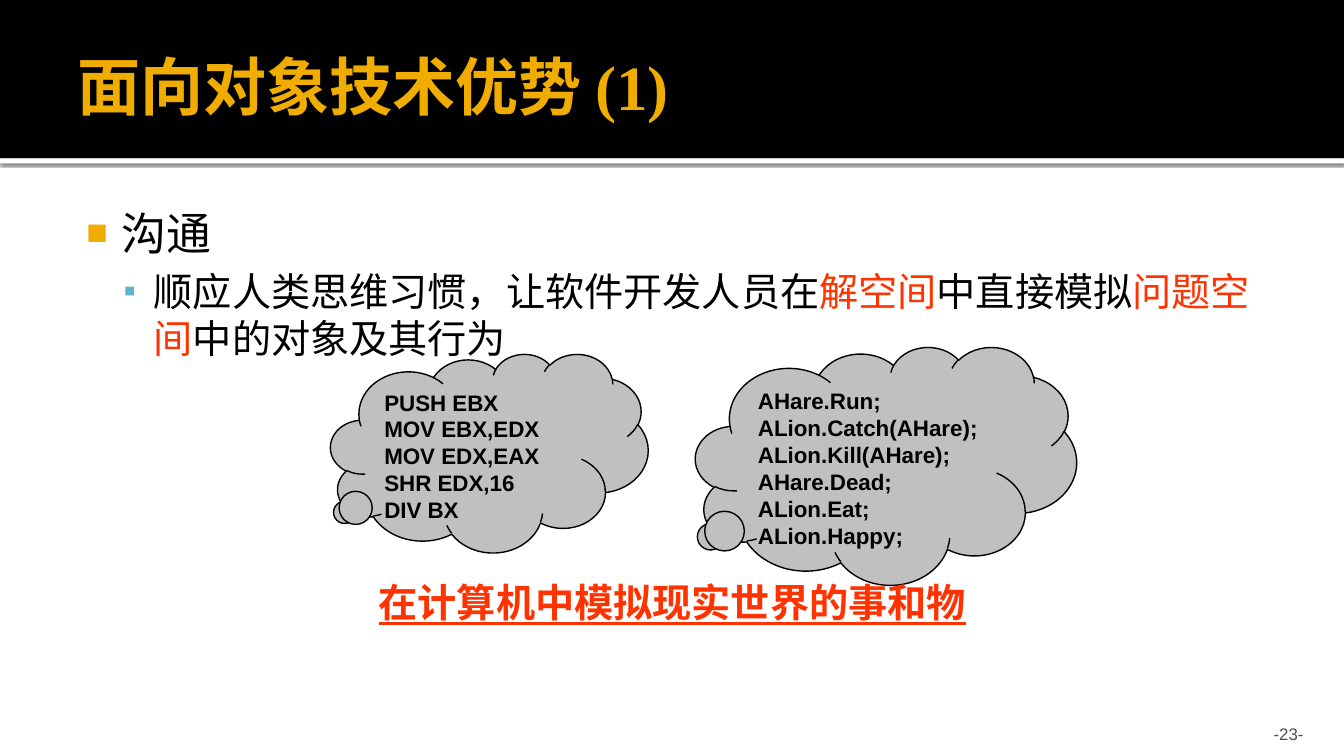
from lxml.etree import SubElement
from pptx import Presentation
from pptx.dml.color import RGBColor
from pptx.enum.lang import MSO_LANGUAGE_ID
from pptx.enum.shapes import MSO_SHAPE
from pptx.enum.text import MSO_ANCHOR, PP_ALIGN
from pptx.oxml.ns import qn
from pptx.util import Emu, Inches, Pt

BLACK = RGBColor(0x00, 0x00, 0x00)
WHITE = RGBColor(0xFF, 0xFF, 0xFF)
GOLD = RGBColor(0xF0, 0xAD, 0x00)
BLUE = RGBColor(0x60, 0xB5, 0xCC)
RED = RGBColor(0xFF, 0x33, 0x00)
GREY = RGBColor(0x4D, 0x4D, 0x4D)
CLOUD_GREY = RGBColor(0xC0, 0xC0, 0xC0)

SERIF = "Times New Roman"
SANS = "Arial"

deck = Presentation()
deck.slide_width, deck.slide_height = Inches(13.333), Inches(7.5)
slide = deck.slides.add_slide(deck.slide_layouts[6])
CELL = deck.slide_width / 80  # 80 columns by 45 rows of square cells


def grid(*cells):
    """Turn left, top, width and height in grid cells into lengths."""
    return [Emu(round(cell * CELL)) for cell in cells]


def add_span(para, text, **formats):
    """Append text to a paragraph; a color format sets the text colour."""
    span = para.add_run()
    span.text = text
    span.font.color.rgb = formats.pop("color", BLACK)
    span.font.language_id = MSO_LANGUAGE_ID.SIMPLIFIED_CHINESE
    for name, value in formats.items():
        setattr(span.font, name, value)


# Header band with a shadowed white stripe under it
for cells, color in (((0, 9.42, 80, 0.3), WHITE), ((0, 0, 80, 9.42), BLACK)):
    band = slide.shapes.add_shape(MSO_SHAPE.RECTANGLE, *grid(*cells))
    band.shadow.inherit = False
    band.fill.solid()
    band.fill.fore_color.rgb = color
    band.line.fill.background()
    if color == WHITE:
        effects = band._element.spPr.find(qn("a:effectLst"))
        shadow = SubElement(effects, qn("a:outerShdw"), blurRad=str(Pt(2.5)),
                            dist=str(Pt(0.8)), dir="5400000", rotWithShape="0")
        shade = SubElement(shadow, qn("a:srgbClr"), val=str(BLACK))
        SubElement(shade, qn("a:alpha"), val="60000")

# Topic and explanation
body = slide.shapes.add_textbox(*grid(4, 11.64, 72, 30.36))
frame = body.text_frame
frame.word_wrap = True
frame.margin_left, frame.margin_top = Inches(0.06), Inches(0.1)
points = [
    (0, 0.48, -0.35, "■", GOLD, 80, 32, 0, [("沟通", BLACK)]),
    (1, 0.8, -0.3, "▪", BLUE, 90, 28, 5.6, [
        ("顺应人类思维习惯，让软件开发人员在", BLACK),
        ("解空间", RED),
        ("中直接模拟", BLACK),
        ("问题空间", RED),
        ("中的对象及其行为", BLACK),
    ]),
]
for level, margin, indent, mark, mark_color, percent, size, before, spans in points:
    para = frame.add_paragraph() if level else frame.paragraphs[0]
    para.level = level
    para.space_before = Pt(before)
    for text, color in spans:
        add_span(para, text, size=Pt(size), name=SERIF, color=color)
    properties = para._p.get_or_add_pPr()
    properties.set("marL", str(Inches(margin)))
    properties.set("indent", str(Inches(indent)))
    bullet_color = SubElement(properties, qn("a:buClr"))
    SubElement(bullet_color, qn("a:srgbClr"), val=str(mark_color))
    SubElement(properties, qn("a:buSzPct"), val=str(percent * 1000))
    SubElement(properties, qn("a:buFont"), typeface=SANS)
    SubElement(properties, qn("a:buChar"), char=mark)

# Code in thought clouds
clouds = [
    ((19.68, 21.06, 18.9, 11.82), (-0.459, 0.301),
     ["PUSH EBX", "MOV EBX,EDX", "MOV EDX,EAX", "SHR EDX,16", "DIV BX"]),
    ((41.4, 20.64, 22.68, 14.16), (-0.465, 0.302),
     ["AHare.Run;", "ALion.Catch(AHare);", "ALion.Kill(AHare);",
      "AHare.Dead;", "ALion.Eat;", "ALion.Happy;"]),
]
for cells, tail, code in clouds:
    cloud = slide.shapes.add_shape(MSO_SHAPE.CLOUD_CALLOUT, *grid(*cells))
    cloud.shadow.inherit = False
    cloud.adjustments[0], cloud.adjustments[1] = tail
    cloud.fill.solid()
    cloud.fill.fore_color.rgb = CLOUD_GREY
    cloud.line.color.rgb = BLACK
    cloud.line.width = Pt(1)
    frame = cloud.text_frame
    frame.vertical_anchor = MSO_ANCHOR.TOP
    for row, statement in enumerate(code):
        para = frame.add_paragraph() if row else frame.paragraphs[0]
        para.alignment = PP_ALIGN.LEFT
        add_span(para, statement, size=Pt(16), name=SANS, bold=True)

# Title, caption and page number
labels = [
    ("面向对象技术优势 (1)", (4, 1, 72, 8.22), PP_ALIGN.LEFT,
     {"vertical_anchor": MSO_ANCHOR.MIDDLE, "margin_right": Inches(0.05)},
     {"size": Pt(45), "name": SERIF, "color": GOLD, "bold": True}),
    ("在计算机中模拟现实世界的事和物", (14.04, 34.14, 51.96, 3.42), PP_ALIGN.CENTER,
     {"vertical_anchor": MSO_ANCHOR.TOP},
     {"size": Pt(28), "name": SANS, "color": RED, "bold": True, "underline": True}),
    ("-23-", (71.76, 42.48, 6.42, 1.8), PP_ALIGN.RIGHT,
     {"vertical_anchor": MSO_ANCHOR.BOTTOM, "margin_bottom": 0},
     {"size": Pt(12), "name": SANS, "color": GREY}),
]
for text, cells, alignment, layout, formats in labels:
    box = slide.shapes.add_textbox(*grid(*cells))
    frame = box.text_frame
    frame.word_wrap = True
    for name, value in layout.items():
        setattr(frame, name, value)
    para = frame.paragraphs[0]
    para.alignment = alignment
    add_span(para, text, **formats)

deck.save("out.pptx")
